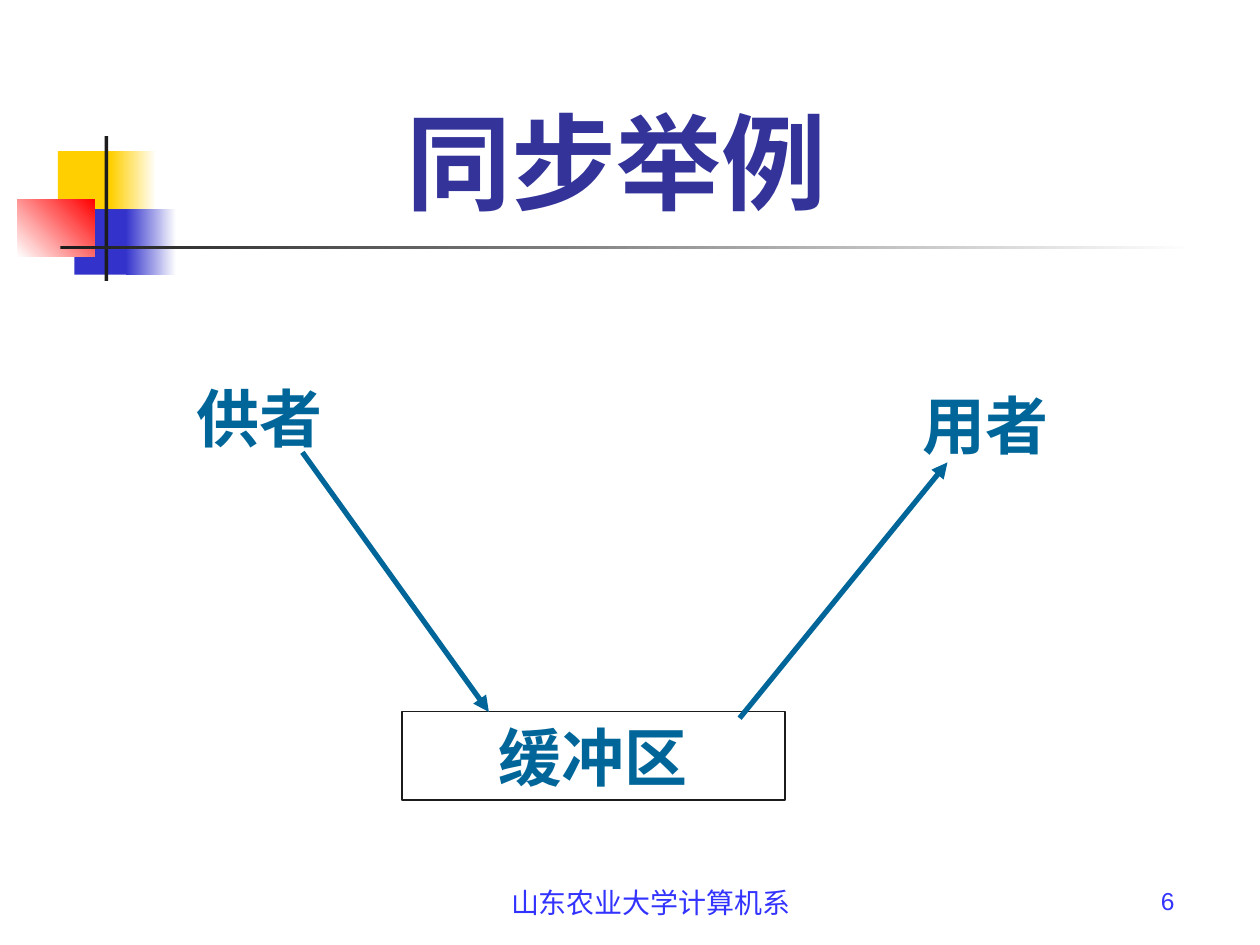
from lxml import etree
from pptx import Presentation
from pptx import util as u
from pptx.dml.color import RGBColor
from pptx.enum import shapes, text
from pptx.oxml.ns import qn

WIDTH, HEIGHT = 10, 7.5
CJK = "Noto Sans CJK SC"
YELLOW, BLUE, RED = "FFCF01", "3333CC", "FF0000"
WHITE, INK, TEAL = "FFFFFF", "1C1C1C", "006699"
FOOTER, TITLE = "3333FF", "333399"
LEFT, CENTER, RIGHT = text.PP_ALIGN.LEFT, text.PP_ALIGN.CENTER, text.PP_ALIGN.RIGHT
TOP, MIDDLE, BOTTOM = (text.MSO_ANCHOR.TOP, text.MSO_ANCHOR.MIDDLE,
                       text.MSO_ANCHOR.BOTTOM)


def color(value):
    return RGBColor.from_string(value)


class SlideBuilder:
    """Places elements on a grid of one-inch columns and rows."""

    def __init__(self, presentation):
        self.slide = presentation.slides.add_slide(presentation.slide_layouts[6])
        self.column = presentation.slide_width / WIDTH
        self.row = presentation.slide_height / HEIGHT

    def place(self, x, y):
        return u.Emu(round(x * self.column)), u.Emu(round(y * self.row))

    def rectangle(self, box, fill=None, fade=None, angle=0, outline=None):
        shape = self.slide.shapes.add_shape(
            shapes.MSO_SHAPE.RECTANGLE, *self.place(*box[:2]), *self.place(*box[2:]))
        shape.shadow.inherit = False
        if fade:
            shape.fill.gradient()
            shape.fill.gradient_angle = angle
            for stop, value in zip(shape.fill.gradient_stops, (fill, fade)):
                stop.color.rgb = color(value)
        elif fill:
            shape.fill.solid()
            shape.fill.fore_color.rgb = color(fill)
        else:
            shape.fill.background()
        if outline:
            shape.line.color.rgb = color(outline)
            shape.line.width = u.Pt(0.75)
        else:
            shape.line.fill.background()
        return shape

    def label(self, box, words, size, ink, align=LEFT, anchor=MIDDLE,
              font="Lato", bold=True, inset=(0.1, 0.05), outline=None):
        if outline:
            shape = self.rectangle(box, outline=outline)
        else:
            shape = self.slide.shapes.add_textbox(
                *self.place(*box[:2]), *self.place(*box[2:]))
        frame = shape.text_frame
        frame.word_wrap = True
        frame.vertical_anchor = anchor
        frame.margin_left = frame.margin_right = u.Inches(inset[0])
        frame.margin_top = frame.margin_bottom = u.Inches(inset[1])
        paragraph = frame.paragraphs[0]
        paragraph.text = words
        paragraph.alignment = align
        paragraph.font.name = font
        paragraph.font.size = u.Pt(size)
        paragraph.font.bold = bold
        paragraph.font.color.rgb = color(ink)
        # East Asian typeface
        defaults = paragraph._p.pPr.find(qn("a:defRPr"))
        etree.SubElement(defaults, qn("a:ea")).set("typeface", CJK)

    def arrow(self, start, end):
        line = self.slide.shapes.add_connector(
            shapes.MSO_CONNECTOR.STRAIGHT, *self.place(*start), *self.place(*end))
        line.line.color.rgb = color(TEAL)
        line.line.width = u.Pt(3)
        etree.SubElement(line.line._get_or_add_ln(), qn("a:tailEnd")).set(
            "type", "triangle")
        etree.SubElement(line._element.spPr, qn("a:effectLst"))


def main():
    presentation = Presentation()
    presentation.slide_width = u.Inches(WIDTH)
    presentation.slide_height = u.Inches(HEIGHT)
    page = SlideBuilder(presentation)

    # Corner ornament and title rule
    page.rectangle((0.46, 1.2, 0.48, 0.52), YELLOW)
    page.rectangle((0.88, 1.2, 0.36, 0.52), YELLOW, WHITE)
    page.rectangle((0.59, 1.66, 0.46, 0.52), BLUE)
    page.rectangle((1, 1.66, 0.4, 0.52), BLUE, WHITE)
    page.rectangle((0.14, 1.58, 0.61, 0.46), WHITE, RED, angle=45)
    page.rectangle((0.83, 1.08, 0.03, 1.15), INK)
    page.rectangle((0.48, 1.95, 9, 0.03), INK, WHITE)

    # Footer and page number
    page.label((3.58, 6.98, 3.17, 0.52), "山东农业大学计算机系", 16, FOOTER,
               CENTER, TOP, "Arial", bold=False)
    page.label((6.92, 6.98, 2.5, 0.52), "6", 14, FOOTER,
               RIGHT, TOP, "Arial", bold=False)

    # Title
    page.label((2.23, 0.52, 5.33, 1.25), "同步举例", 60, TITLE,
               CENTER, BOTTOM, CJK, inset=(0, 0))

    # Supplier, buffer and consumer
    page.label((3.19, 5.65, 3.04, 0.7), "缓冲区", 36, TEAL, CENTER, outline=INK)
    page.label((1.46, 2.96, 1.48, 0.7), "供者", 36, TEAL)
    page.label((7.22, 3.02, 1.48, 0.7), "用者", 36, TEAL)
    page.arrow((2.4, 3.59), (3.88, 5.65))
    page.arrow((5.87, 5.7), (7.52, 3.67))

    presentation.save("out.pptx")


if __name__ == "__main__":
    main()
